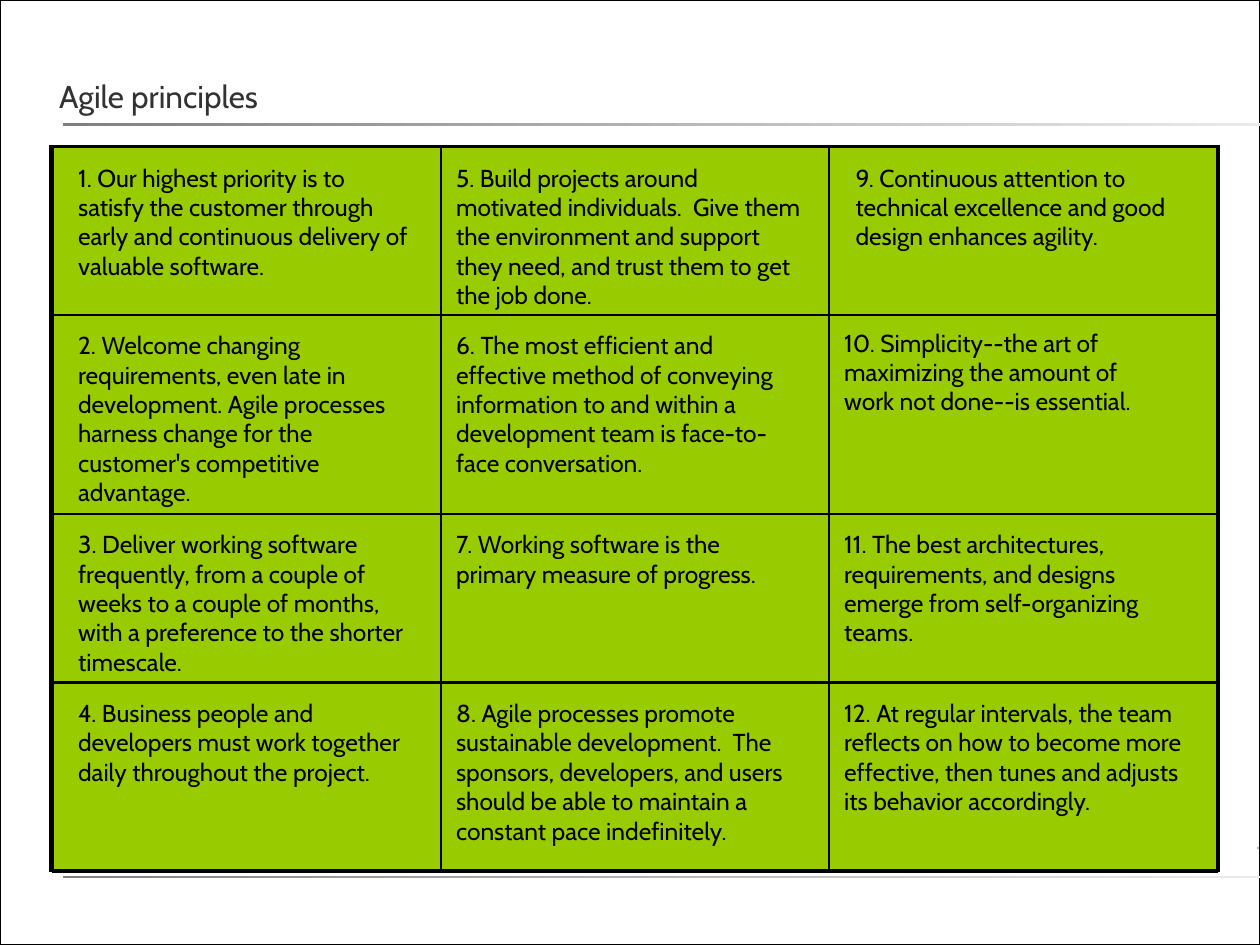
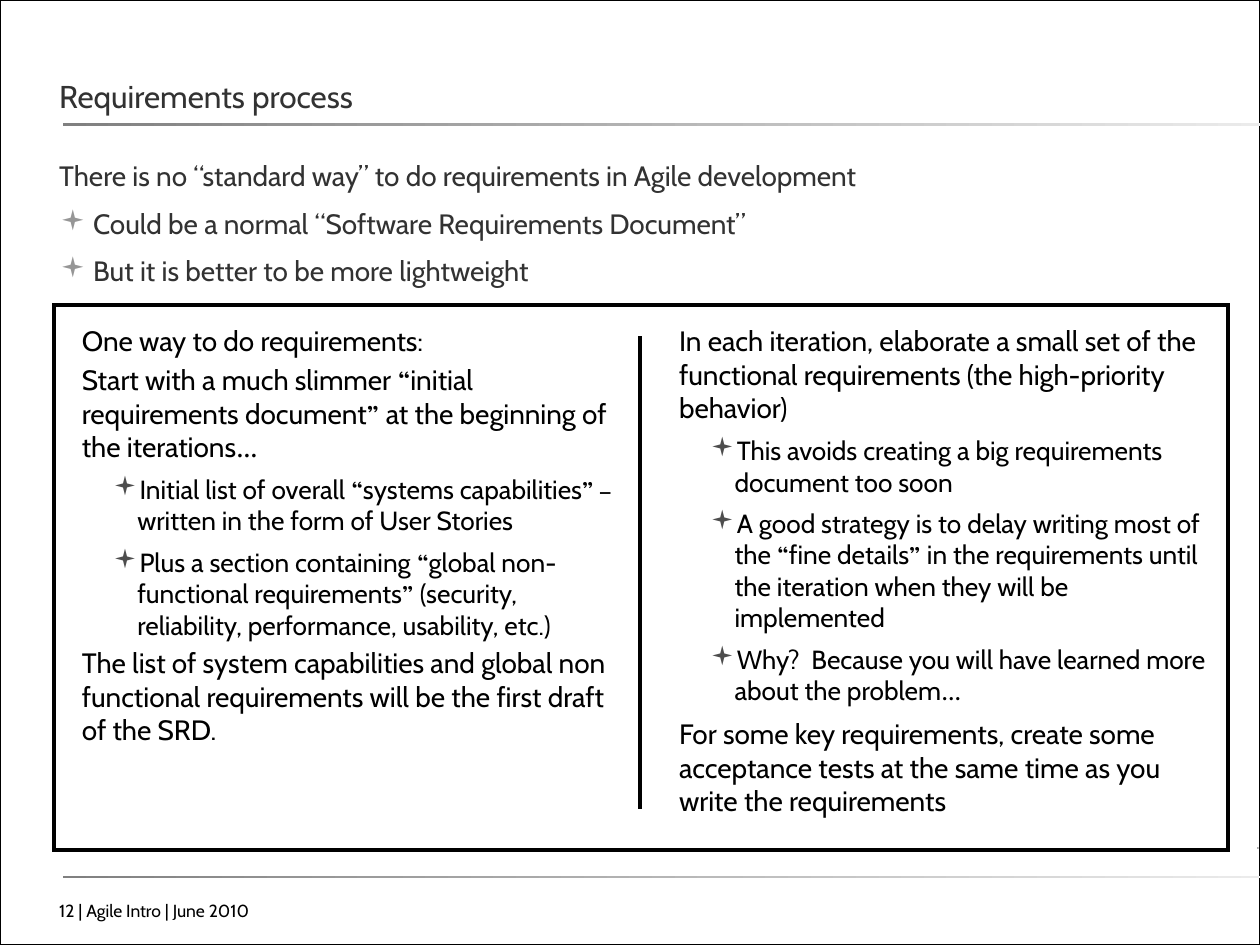
import itertools
from dataclasses import dataclass

import pptx
import pptx.dml.color
import pptx.enum.shapes
import pptx.enum.text
import pptx.oxml
import pptx.oxml.ns
import pptx.util
from pptx.util import Inches

RECTANGLE = pptx.enum.shapes.MSO_SHAPE.RECTANGLE


@dataclass(frozen=True)
class Theme:
    font: str = "Cabin"
    symbol_font: str = "League Spartan"
    bullet_font: str = "Wingdings"
    backdrop: str = "EAEAEA"
    page: str = "FFFFFF"
    ink: str = "000000"
    heading: str = "323232"
    principle_fill: str = "99CC00"
    rule_start: str = "808080"
    rule_end: str = "EBEBEB"
    mark_end: str = "D7D7D7"
    body_bullet: str = "969696"
    panel_bullet: str = "4D4D4D"
    title_size: int = 18
    body_size: int = 16
    detail_size: int = 15
    principle_size: int = 14
    footer_size: int = 10
    thin: float = 1
    medium: float = 1.5
    thick: float = 2.25


THEME = Theme()
SYMBOLS = "“”…–"
PADDING = (0.12,) * 4

# Paragraph formats: indents in inches, sizes and spacing in points
TITLE = {"size": THEME.title_size, "color": THEME.heading, "line_spacing": pptx.util.Pt(26)}
FOOTER = {"size": THEME.footer_size}
PRINCIPLE = {"size": THEME.principle_size}
LEAD = {"size": THEME.body_size, "color": THEME.heading, "left": 0.18,
        "line_spacing": 0.9, "space_after": 5}
POINT = {"size": THEME.body_size, "color": THEME.heading, "left": 0.45, "hanging": 0.26,
         "bullet": THEME.body_bullet, "line_spacing": 0.95,
         "space_before": 4, "space_after": 5}
OPENING = {"size": THEME.body_size, "symbol_font": THEME.symbol_font}
STEP = {**OPENING, "space_before": 3}
CLOSING = {**OPENING, "space_before": 6}
DETAIL = {"size": THEME.detail_size, "symbol_font": THEME.symbol_font, "left": 0.44,
          "hanging": 0.19, "bullet": THEME.panel_bullet, "space_before": 5.6}

PRINCIPLES = [
    "1. Our highest priority is to satisfy the customer through early and continuous "
    "delivery of valuable software.",
    "2. Welcome changing requirements, even late in development. Agile processes harness "
    "change for the customer's competitive advantage.",
    "3. Deliver working software frequently, from a couple of weeks to a couple of months, "
    "with a preference to the shorter timescale.",
    "4. Business people and developers must work together daily throughout the project.",
    "5. Build projects around motivated individuals.  Give them the environment and support "
    "they need, and trust them to get the job done.",
    "6. The most efficient and effective method of conveying information to and within a "
    "development team is face-to-face conversation.",
    "7. Working software is the primary measure of progress.",
    "8. Agile processes promote sustainable development.  The sponsors, developers, and "
    "users should be able to maintain a constant pace indefinitely.",
    "9. Continuous attention to technical excellence and good design enhances agility.",
    "10. Simplicity--the art of maximizing the amount of work not done--is essential.",
    "11. The best architectures, requirements, and designs emerge from self-organizing teams.",
    "12. At regular intervals, the team reflects on how to become more effective, then tunes "
    "and adjusts its behavior accordingly.",
]
GRID_LEFT = 0.42
COLUMN_WIDTH = 3.08
ROW_TOPS = [1.17, 2.5, 4.08, 5.42]
ROW_HEIGHTS = [1.33, 1.58, 1.33, 1.5]
# Left, width and shift down of the text in each column, with two exceptions by cell
COLUMN_TEXTS = [(0.5, 2.92, 0), (3.5, 3, 0), (6.58, 2.92, 0)]
SPECIAL_TEXTS = {(0, 2): (6.67, 2.83, 0), (1, 2): (6.58, 2.83, -0.02)}

INTRODUCTION = [
    ("There is no “standard way” to do requirements in Agile development", LEAD),
    ("Could be a normal “Software Requirements Document”", POINT),
    ("But it is better to be more lightweight", POINT),
]
FIRST_DRAFT = [
    ("One way to do requirements:", OPENING),
    ("Start with a much slimmer “initial requirements document” at the beginning of the "
     "iterations…", STEP),
    ("Initial list of overall “systems capabilities” – written in the form of User Stories",
     DETAIL),
    ("Plus a section containing “global non-functional requirements” (security, reliability, "
     "performance, usability, etc.)", DETAIL),
    ("The list of system capabilities and global non functional requirements will be the "
     "first draft of the SRD.", STEP),
]
ITERATIONS = [
    ("In each iteration, elaborate a small set of the functional requirements (the "
     "high-priority behavior)", OPENING),
    ("This avoids creating a big requirements document too soon", DETAIL),
    ("A good strategy is to delay writing most of the “fine details” in the requirements "
     "until the iteration when they will be implemented", DETAIL),
    ("Why?  Because you will have learned more about the problem…", DETAIL),
    ("For some key requirements, create some acceptance tests at the same time as you write "
     "the requirements", CLOSING),
]


def rgb(value):
    return pptx.dml.color.RGBColor.from_string(value)


def add_xml(parent, markup):
    namespace = pptx.oxml.ns.nsdecls("a")
    tag, rest = markup[1:].split(" ", 1)
    parent.append(pptx.oxml.parse_xml(f"<{tag} {namespace} {rest}"))


def add_bullet(properties, color):
    add_xml(properties, f'<a:buClr ><a:srgbClr val="{color}"/></a:buClr>')
    add_xml(properties, f'<a:buFont typeface="{THEME.bullet_font}"/>')
    add_xml(properties, '<a:buChar char="▪"/>')


def write_paragraph(paragraph, text, style):
    """Fill a paragraph, giving symbols their own font where the style has one."""
    properties = paragraph._p.get_or_add_pPr()
    properties.set("marL", str(Inches(style.get("left", 0))))
    properties.set("indent", str(-Inches(style.get("hanging", 0))))
    if "bullet" in style:
        add_bullet(properties, style["bullet"])
    for name in ("space_before", "space_after"):
        if name in style:
            setattr(paragraph, name, pptx.util.Pt(style[name]))
    paragraph.line_spacing = style.get("line_spacing")
    symbol_font = style.get("symbol_font", THEME.font)
    for is_symbol, letters in itertools.groupby(text, lambda letter: letter in SYMBOLS):
        run = paragraph.add_run()
        run.text = "".join(letters)
        run.font.name = symbol_font if is_symbol else THEME.font
        run.font.size = pptx.util.Pt(style["size"])
        run.font.color.rgb = rgb(style.get("color", THEME.ink))


def add_text(slide, place, content, margins=(0, 0, 0, 0), anchor="TOP"):
    """Add a text box; margins run left, top, right, bottom."""
    frame = slide.shapes.add_textbox(*map(Inches, place)).text_frame
    frame.word_wrap = True
    frame.vertical_anchor = getattr(pptx.enum.text.MSO_ANCHOR, anchor)
    for side, margin in zip(("left", "top", "right", "bottom"), margins):
        setattr(frame, f"margin_{side}", Inches(margin))
    for index, (text, style) in enumerate(content):
        paragraph = frame.add_paragraph() if index else frame.paragraphs[0]
        write_paragraph(paragraph, text, style)


def set_outline(line, width):
    line.color.rgb = rgb(THEME.ink)
    line.width = pptx.util.Pt(width)


def add_box(slide, place, fill=None, line_width=None):
    box = slide.shapes.add_shape(RECTANGLE, *map(Inches, place))
    box.shadow.inherit = False
    if fill:
        box.fill.solid()
        box.fill.fore_color.rgb = rgb(fill)
    else:
        box.fill.background()
    if line_width:
        set_outline(box.line, line_width)
        add_xml(box.line._get_or_add_ln(), '<a:miter lim="800000"/>')
    else:
        box.line.fill.background()
    return box


def add_fading_rule(slide, place, end_color):
    rule = add_box(slide, place)
    rule.fill.gradient()
    rule.fill.gradient_angle = 0
    for stop, color in zip(rule.fill.gradient_stops, (THEME.rule_start, end_color)):
        stop.color.rgb = rgb(color)


def add_page(deck, title):
    """Add a slide with the shared frame, rules and title."""
    slide = deck.slides.add_slide(deck.slide_layouts[6])
    slide.background.fill.solid()
    slide.background.fill.fore_color.rgb = rgb(THEME.backdrop)
    add_box(slide, (0, 0, 10, 7.5), THEME.page, THEME.thin)
    add_fading_rule(slide, (9.98, 6.72, 0.01, 0.02), THEME.mark_end)
    for top in (0.98, 6.95):
        add_fading_rule(slide, (0.5, top, 9.53, 0.02), THEME.rule_end)
    add_text(slide, (0.47, 0.08, 9.03, 0.83), [(title, TITLE)], anchor="BOTTOM")
    return slide


def add_principles_grid(slide):
    """Lay the principles out column by column."""
    for index, principle in enumerate(PRINCIPLES):
        column, row = divmod(index, len(ROW_TOPS))
        top, height = ROW_TOPS[row], ROW_HEIGHTS[row]
        cell_left = GRID_LEFT + column * COLUMN_WIDTH
        add_box(slide, (cell_left, top, COLUMN_WIDTH, height), line_width=THEME.thin)
        left, width, shift = SPECIAL_TEXTS.get((row, column), COLUMN_TEXTS[column])
        add_text(slide, (left, top + shift, width, height), [(principle, PRINCIPLE)], PADDING)


def add_divider(slide, x, top, bottom):
    ends = map(Inches, (x, top, x, bottom))
    divider = slide.shapes.add_connector(pptx.enum.shapes.MSO_CONNECTOR.STRAIGHT, *ends)
    set_outline(divider.line, THEME.thick)
    add_xml(divider._element.spPr, "<a:effectLst />")


def build_principles(deck):
    slide = add_page(deck, "Agile principles")
    add_box(slide, (0.4, 1.16, 9.27, 5.75), THEME.principle_fill, THEME.medium)
    add_principles_grid(slide)


def build_requirements(deck):
    slide = add_page(deck, "Requirements process")
    add_text(slide, (0.47, 7.09, 4.24, 0.23), [("12 | Agile Intro | June 2010", FOOTER)],
             margins=(0, 0.05, 0.1, 0.05))
    add_text(slide, (0.29, 1.29, 9.4, 4.95), INTRODUCTION)
    add_box(slide, (0.43, 2.42, 9.32, 4.33), line_width=THEME.thick)
    for left, height, content in ((0.53, 3.84, FIRST_DRAFT), (5.27, 4.15, ITERATIONS)):
        add_text(slide, (left, 2.45, 4.54, height), content, PADDING)
    add_divider(slide, 5.08, 2.67, 6.42)


def main():
    deck = pptx.Presentation()
    deck.slide_width, deck.slide_height = Inches(10), Inches(7.5)
    build_principles(deck)
    build_requirements(deck)
    deck.save("out.pptx")


if __name__ == "__main__":
    main()
